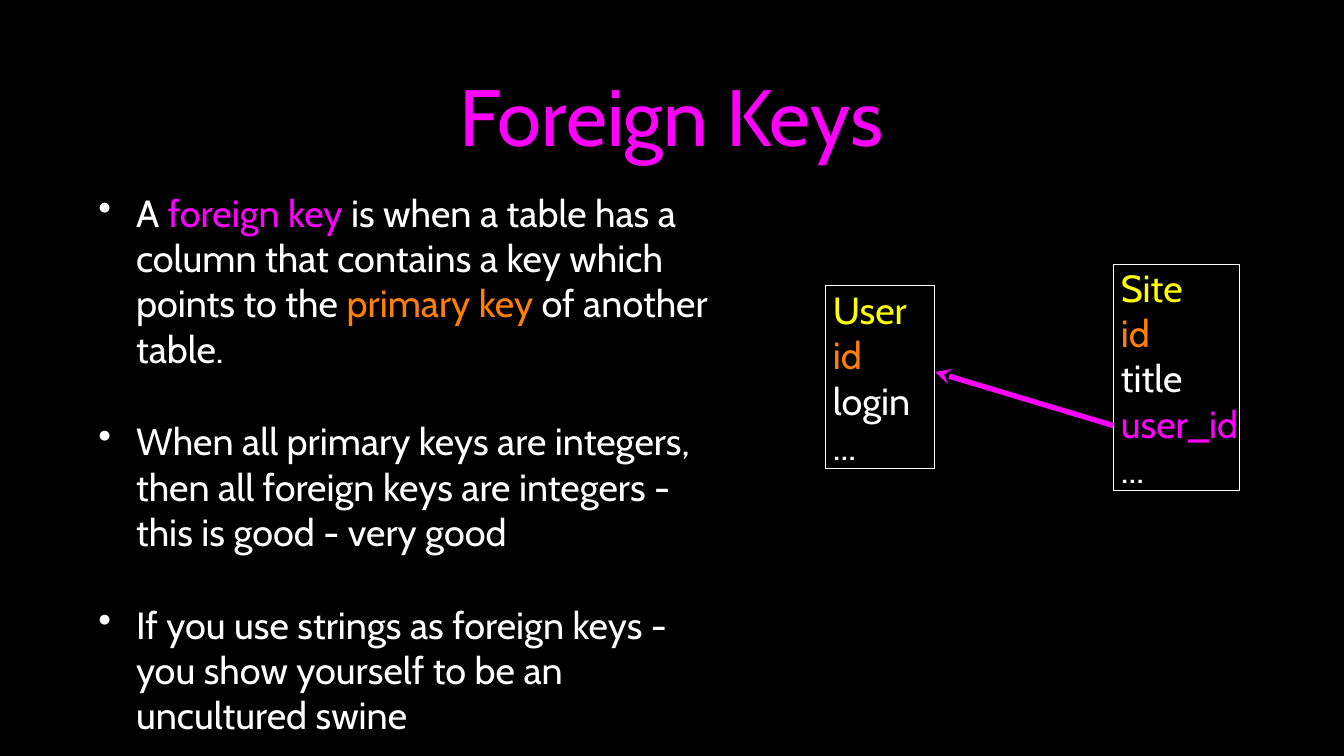
"""Build the Foreign Keys slide with bullets and two linked table boxes."""
from dataclasses import dataclass

from lxml import etree
from pptx import Presentation
from pptx.dml.color import RGBColor
from pptx.enum.shapes import MSO_CONNECTOR, MSO_SHAPE
from pptx.enum.text import MSO_ANCHOR, PP_ALIGN
from pptx.oxml.ns import qn
from pptx.util import Inches, Pt

RECT = MSO_SHAPE.RECTANGLE
STRAIGHT = MSO_CONNECTOR.STRAIGHT
MIDDLE = MSO_ANCHOR.MIDDLE
LEFT, CENTER = PP_ALIGN.LEFT, PP_ALIGN.CENTER

COLORS = {
    "background": "000000",
    "text": "FFFFFF",
    "foreign": "FF00FF",
    "primary": "FF7F00",
    "name": "FFFF00",
}
FONT = "Cabin"
TEXT_SIZE = 36
TITLE_SIZE = 76
PADDING = 0.04


@dataclass(frozen=True)
class Box:
    left: float
    top: float
    width: float
    height: float

    def lengths(self) -> list:
        return [Inches(v) for v in (self.left, self.top, self.width, self.height)]


@dataclass(frozen=True)
class Span:
    text: str
    color: str = "text"


@dataclass(frozen=True)
class TableBox:
    box: Box
    rows: tuple[Span, ...]


TITLE_BOX = Box(1.26, 0.26, 15.24, 2.51)
BODY_BOX = Box(1.26, 2.68, 8.35, 6.9)
BULLETS = (
    (
        Span("A"),
        Span(" foreign key", "foreign"),
        Span(" is when a table has a column that contains a key which points to the "),
        Span("primary key", "primary"),
        Span(" of another table."),
    ),
    (Span("When all primary keys are integers, then all foreign keys are integers"
          " - this is good - very good"),),
    (Span("If you use strings as foreign keys - you show yourself to be an"
          " uncultured swine"),),
)
TABLES = (
    TableBox(Box(10.92, 3.78, 1.44, 2.42), (
        Span("User", "name"), Span("id", "primary"), Span("login"), Span("..."))),
    TableBox(Box(14.73, 3.5, 1.67, 2.99), (
        Span("Site", "name"), Span("id", "primary"), Span("title"),
        Span("user_id", "foreign"), Span("..."))),
)


def rgb(name: str) -> RGBColor:
    return RGBColor.from_string(COLORS[name])


def apply(target, values: dict) -> None:
    for name, value in values.items():
        setattr(target, name, value)


def setup_frame(tf, left: float, other: float) -> None:
    apply(tf, {
        "word_wrap": True,
        "vertical_anchor": MIDDLE,
        "margin_left": Inches(left),
        "margin_right": Inches(other),
        "margin_top": Inches(other),
        "margin_bottom": Inches(other),
    })


def write_paragraphs(tf, paragraphs, size: int = TEXT_SIZE, align=LEFT) -> None:
    for i, spans in enumerate(paragraphs):
        p = tf.add_paragraph() if i else tf.paragraphs[0]
        p.alignment = align
        for span in spans:
            r = p.add_run()
            r.text = span.text
            apply(r.font, {"name": FONT, "size": Pt(size)})
            r.font.color.rgb = rgb(span.color)


def add_text(s, box: Box, paragraphs, size: int = TEXT_SIZE, align=LEFT):
    tf = s.shapes.add_textbox(*box.lengths()).text_frame
    setup_frame(tf, PADDING, PADDING)
    write_paragraphs(tf, paragraphs, size, align)
    return tf


def add_bullets(tf) -> None:
    for i, p in enumerate(tf.paragraphs):
        apply(p, {"space_before": Pt(35 if i else 0), "space_after": Pt(10)})
        pPr = p._p.get_or_add_pPr()
        pPr.set("marL", str(Inches(0.5)))
        pPr.set("indent", str(-Inches(0.5)))
        color = etree.SubElement(pPr, qn("a:buClr"))
        etree.SubElement(color, qn("a:srgbClr"), val=COLORS["text"])
        etree.SubElement(pPr, qn("a:buChar"), char="•")


def add_table_box(s, table: TableBox) -> None:
    sp = s.shapes.add_shape(RECT, *table.box.lengths())
    sp.shadow.inherit = False
    sp.fill.background()
    sp.line.color.rgb = rgb("text")
    sp.line.width = Pt(1)
    setup_frame(sp.text_frame, 0.1, 0)
    write_paragraphs(sp.text_frame, [(row,) for row in table.rows])


def add_key_arrow(s, target: tuple[float, float], source: tuple[float, float]) -> None:
    ends = [Inches(v) for v in (*target, *source)]
    sp = s.shapes.add_connector(STRAIGHT, *ends)
    sp.line.color.rgb = rgb("foreign")
    sp.line.width = Pt(5)
    etree.SubElement(sp.line._get_or_add_ln(), qn("a:headEnd"), type="stealth")
    etree.SubElement(sp._element.spPr, qn("a:effectLst"))


def main() -> None:
    prs = Presentation()
    apply(prs, {"slide_width": Inches(17.78), "slide_height": Inches(10)})
    s = prs.slides.add_slide(prs.slide_layouts[6])
    s.background.fill.solid()
    s.background.fill.fore_color.rgb = rgb("background")

    add_text(s, TITLE_BOX, [(Span("Foreign Keys", "foreign"),)], TITLE_SIZE, CENTER)
    add_bullets(add_text(s, BODY_BOX, BULLETS))
    for table in TABLES:
        add_table_box(s, table)
    add_key_arrow(s, (12.37, 4.92), (14.73, 5.63))
    prs.save("out.pptx")


if __name__ == "__main__":
    main()
